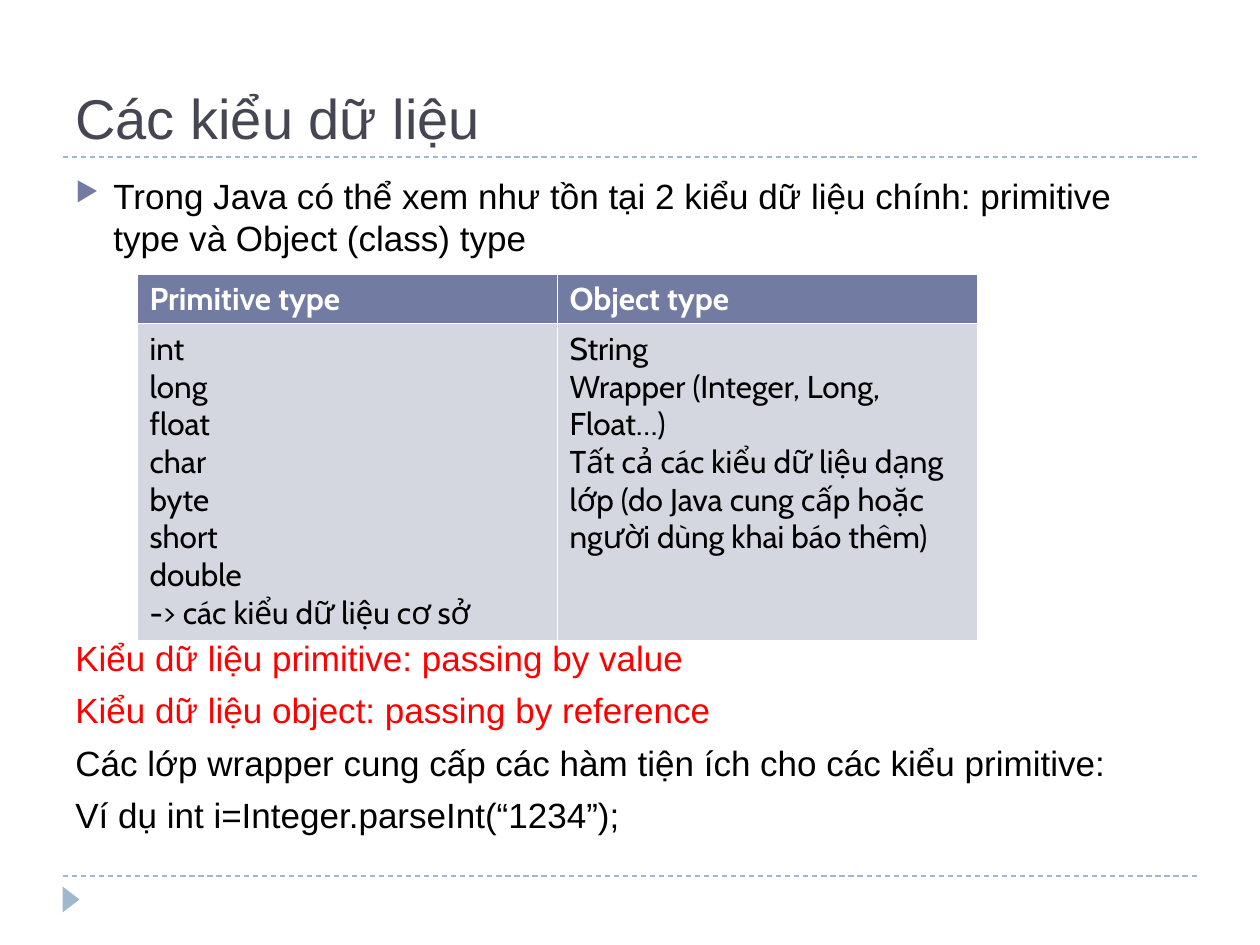
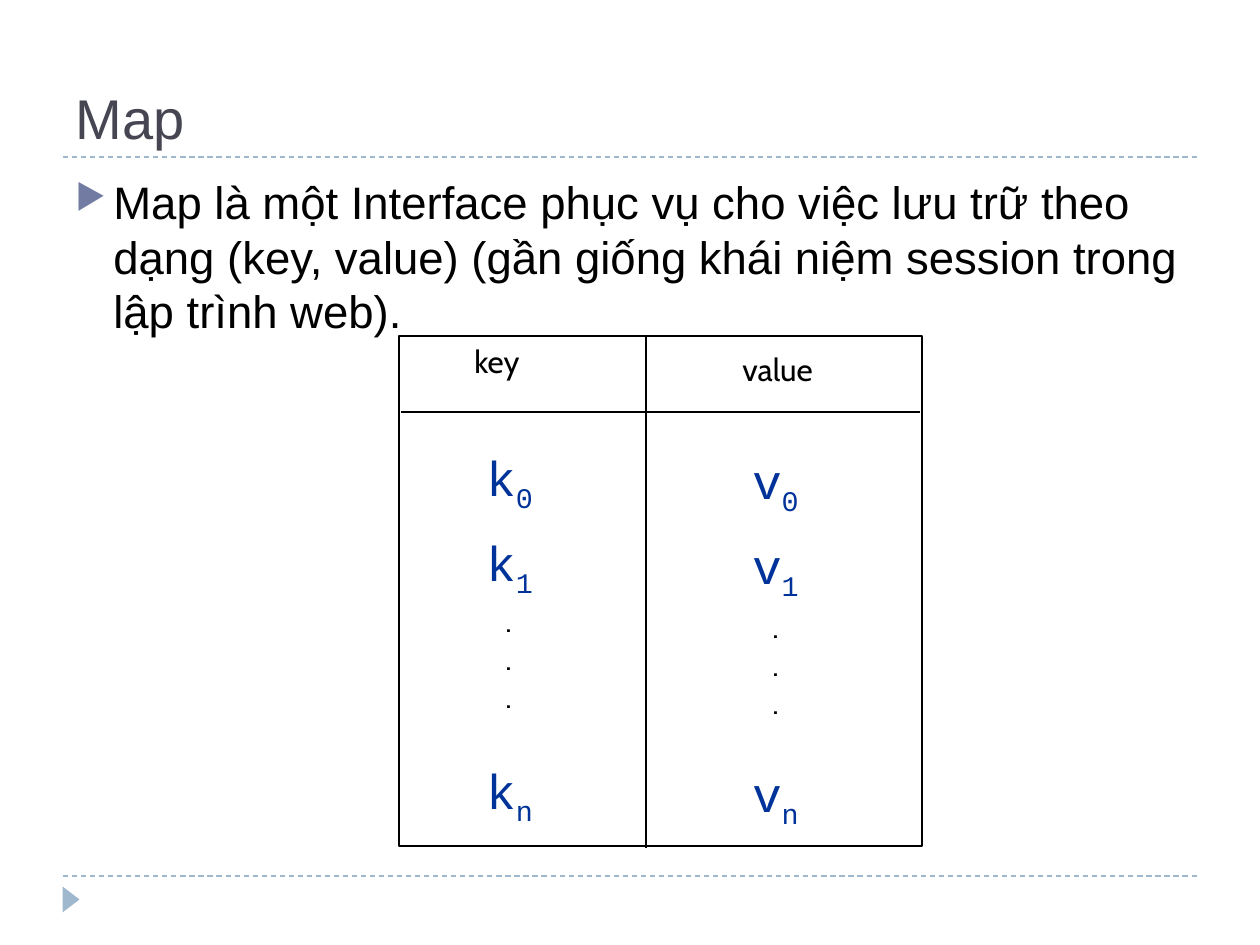
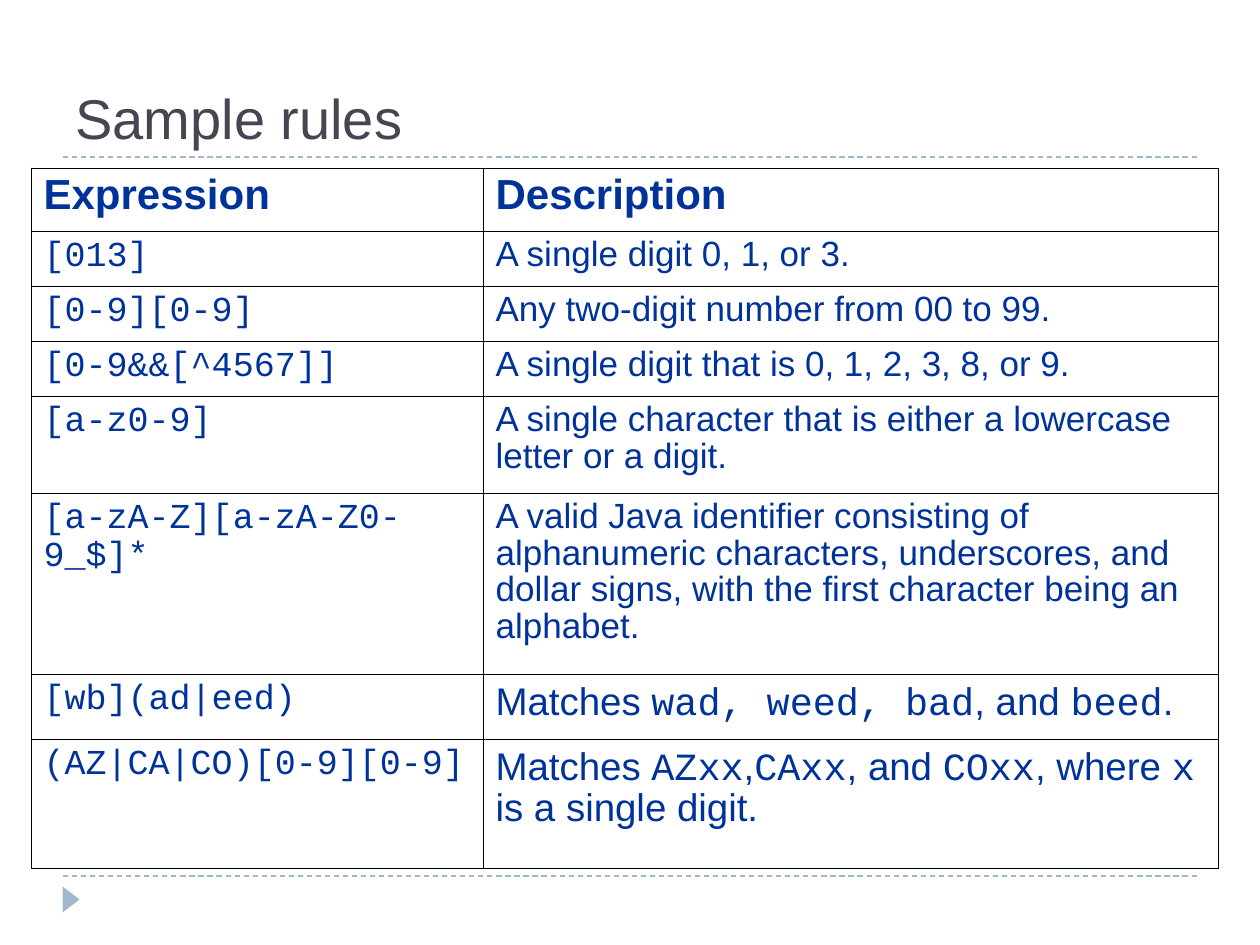
from lxml import etree
from pptx import Presentation
from pptx.dml.color import RGBColor
from pptx.enum.dml import MSO_LINE
from pptx.enum.shapes import MSO_CONNECTOR, MSO_SHAPE
from pptx.enum.text import MSO_ANCHOR, MSO_AUTO_SIZE
from pptx.oxml.ns import qn
from pptx.util import Pt

# Shared scale, colours and text styles
EMU_PER_PX = 914400 / 126
STRAIGHT = MSO_CONNECTOR.STRAIGHT
RECTANGLE = MSO_SHAPE.RECTANGLE
TRIANGLE = MSO_SHAPE.ISOSCELES_TRIANGLE
DASH = MSO_LINE.DASH
TOP, BOTTOM = MSO_ANCHOR.TOP, MSO_ANCHOR.BOTTOM
FIT_SHAPE = MSO_AUTO_SIZE.SHAPE_TO_FIT_TEXT

COLORS = {
    "title": "464653", "accent": "727CA3", "rule": "9FB8CD", "pale": "D5D7E0",
    "black": "000000", "white": "FFFFFF", "red": "FF0000", "blue": "003399",
}


def text_style(name, size, color, bold=False):
    return {"name": name, "size": Pt(size), "bold": bold, "color": color}


STYLES = {
    "title": text_style("Arial", 32, "title"),
    "body": text_style("Arial", 20, "black"),
    "warning": text_style("Arial", 20, "red"),
    "large body": text_style("Arial", 26, "black"),
    "type header": text_style("Cabin", 18, "white", True),
    "label": text_style("Cabin", 18, "black"),
    "symbol": text_style("Courier New", 28, "blue"),
    "rule header": text_style("Arial", 24, "blue", True),
    "expression": text_style("Courier New", 20, "blue"),
    "description": text_style("Arial", 20, "blue"),
    "match": text_style("Arial", 22, "blue"),
    "match code": text_style("Courier New", 22, "blue"),
}

TYPE_ROWS = [
    [["Primitive type"], ["Object type"]],
    [["int", "long", "float", "char", "byte", "short", "double",
      "-> các kiểu dữ liệu cơ sở"],
     ["String", "Wrapper (Integer, Long, Float…)",
      "Tất cả các kiểu dữ liệu dạng lớp (do Java cung cấp hoặc người dùng khai báo thêm)"]],
]

# A list of pieces alternates between prose and code
RULES = [
    ("Expression", "Description", 63),
    ("[013]", "A single digit 0, 1, or 3.", 55),
    ("[0-9][0-9]", "Any two-digit number from 00 to 99.", 55),
    ("[0-9&&[^4567]]", "A single digit that is 0, 1, 2, 3, 8, or 9.", 55),
    ("[a-z0-9]", "A single character that is either a lowercase letter or a digit.", 97),
    ("[a-zA-Z][a-zA-Z0-9_$]*",
     "A valid Java identifier consisting of alphanumeric characters, underscores, "
     "and dollar signs, with the first character being an alphabet.", 181),
    ("[wb](ad|eed)", ["Matches ", "wad, weed, bad", ", and ", "beed", "."], 65),
    ("(AZ|CA|CO)[0-9][0-9]",
     ["Matches ", "AZxx", ",", "CAxx", ", and ", "COxx", ", where ", "x",
      " is a single digit."], 130),
]


def px(*lengths):
    return [round(length * EMU_PER_PX) for length in lengths]


def rgb(color):
    return RGBColor.from_string(COLORS[color])


# Text
def add_run(paragraph, text, style, baseline=None):
    run = paragraph.add_run()
    run.text = text
    for attribute, value in STYLES[style].items():
        if attribute == "color":
            run.font.color.rgb = rgb(value)
        else:
            setattr(run.font, attribute, value)
    if baseline is not None:
        run._r.get_or_add_rPr().set("baseline", str(baseline))


def write(frame, paragraphs, **layout):
    """Each paragraph is a list of add_run arguments."""
    for index, runs in enumerate(paragraphs):
        paragraph = frame.add_paragraph() if index else frame.paragraphs[0]
        for attribute, value in layout.items():
            setattr(paragraph, attribute, value)
        for run in runs:
            add_run(paragraph, *run)


def add_text(shapes, box, paragraphs, wrap=True, anchor=TOP, **layout):
    frame = shapes.add_textbox(*px(*box)).text_frame
    frame.word_wrap = wrap
    frame.vertical_anchor = anchor
    if not wrap:
        frame.auto_size = FIT_SHAPE
    write(frame, paragraphs, **layout)
    return frame


def add_bullet_text(slide, height, text, style):
    frame = add_text(slide.shapes, (63, 168, 1134, height), [[(text, style)]],
                     space_before=Pt(6))
    properties = frame.paragraphs[0]._p.get_or_add_pPr()
    indent = px(38)[0]
    properties.set("marL", str(indent))
    properties.set("indent", str(-indent))
    color = etree.SubElement(properties, qn("a:buClr"))
    etree.SubElement(color, qn("a:srgbClr"), val=COLORS["accent"])
    etree.SubElement(properties, qn("a:buSzPct"), val="76000")
    etree.SubElement(properties, qn("a:buChar"), char="▶")


# Lines and the slide frame
def add_line(shapes, start, end, color, dash=None):
    line = shapes.add_connector(STRAIGHT, *px(*start, *end))
    line.line.color.rgb = rgb(color)
    line.line.width = Pt(0.75)
    line.line.dash_style = dash
    etree.SubElement(line._element.spPr, qn("a:effectLst"))


def add_titled_slide(presentation, title):
    slide = presentation.slides.add_slide(presentation.slide_layouts[6])
    for y in (876, 157):
        add_line(slide.shapes, (63, y), (1197, y), "rule", DASH)
    marker = slide.shapes.add_shape(TRIANGLE, *px(58, 891, 26, 17))
    marker.rotation = 90
    marker.shadow.inherit = False
    marker.fill.solid()
    marker.fill.fore_color.rgb = rgb("rule")
    marker.line.fill.background()
    add_text(slide.shapes, (63, 21, 1134, 136), [[(title, "title")]], anchor=BOTTOM)
    return slide


# Tables
def add_plain_table(slide, left, top, widths, heights):
    table = slide.shapes.add_table(
        len(heights), len(widths), *px(left, top, sum(widths), sum(heights))).table
    table.first_row = table.horz_banding = False
    for column, width in zip(table.columns, px(*widths)):
        column.width = width
    for row, height in zip(table.rows, px(*heights)):
        row.height = height
    return table


def set_borders(cell, color, **widths):
    properties = cell._tc.get_or_add_tcPr()
    for side in "LRTB":
        line = etree.SubElement(properties, qn(f"a:ln{side}"),
                                w=str(Pt(widths.get(side, 0.23))))
        fill = etree.SubElement(line, qn("a:solidFill"))
        etree.SubElement(fill, qn("a:srgbClr"), val=COLORS[color])


def add_type_table(slide):
    table = add_plain_table(slide, 137, 274, (420, 420), (50, 316))
    looks = [("type header", "accent", "B"), ("label", "pale", "T")]
    for row, (style, fill, thick_side) in enumerate(looks):
        for column, lines in enumerate(TYPE_ROWS[row]):
            cell = table.cell(row, column)
            set_borders(cell, "white", **{thick_side: 0.75})
            cell.fill.solid()
            cell.fill.fore_color.rgb = rgb(fill)
            write(cell.text_frame, [[(line, style)] for line in lines], line_spacing=0.98)


def add_rule_table(slide):
    table = add_plain_table(slide, 31, 168, (452, 735), [rule[2] for rule in RULES])
    last = len(RULES) - 1
    for row, (expression, description, _) in enumerate(RULES):
        for column, content in enumerate((expression, description)):
            cell = table.cell(row, column)
            outer = {"L" if column == 0 else "R": 0.5}
            if row in (0, last):
                outer["T" if row == 0 else "B"] = 0.5
            set_borders(cell, "black", **outer)
            cell.fill.background()
            spacing, before = 0.94, 5
            if isinstance(content, list):
                before = 5.5
                runs = [(piece, "match code" if index % 2 else "match")
                        for index, piece in enumerate(content)]
            elif row == 0:
                before = 6
                runs = [(content, "rule header")]
            elif column == 0:
                spacing = 0.96
                runs = [(content, "expression")]
            else:
                runs = [(content, "description")]
            write(cell.text_frame, [runs], line_spacing=spacing, space_before=Pt(before))


# Key and value diagram
def add_map_column(shapes, letter, header, header_box, left, top):
    add_text(shapes, header_box, [[(header, "label")]], wrap=False)
    for index, offset in (("0", 0), ("1", 85), ("n", 313)):
        add_text(shapes, (left, top + offset, 72, 79),
                 [[(letter, "symbol"), (index, "symbol", -25000)]], wrap=False)


def add_map_diagram(slide):
    shapes = slide.shapes.add_group_shape().shapes
    outline = shapes.add_shape(RECTANGLE, *px(399, 336, 523, 510))
    outline.shadow.inherit = False
    outline.fill.background()
    outline.line.color.rgb = rgb("black")
    outline.line.width = Pt(0.75)
    add_line(shapes, (401, 412), (920, 412), "black")
    add_line(shapes, (646, 336), (646, 848), "black")
    add_map_column(shapes, "k", "key", (462, 336, 76, 50), 474, 441)
    add_map_column(shapes, "v", "value", (730, 344, 103, 50), 740, 444)
    for left, top in ((493, 595), (760, 601)):
        add_text(shapes, (left, top, 33, 126), [[(".", "label")]] * 3, wrap=False)


def main():
    presentation = Presentation()
    presentation.slide_width, presentation.slide_height = px(1260, 945)

    # Data types
    slide = add_titled_slide(presentation, "Các kiểu dữ liệu")
    add_bullet_text(slide, 106, "Trong Java có thể xem như tồn tại 2 kiểu dữ liệu chính: "
                    "primitive type và Object (class) type", "body")
    add_type_table(slide)
    add_text(slide.shapes, (63, 630, 1134, 218), [
        [("Kiểu dữ liệu primitive: passing by value", "warning")],
        [("Kiểu dữ liệu object: passing by reference", "warning")],
        [("Các lớp wrapper cung cấp các hàm tiện ích cho các kiểu primitive:", "body")],
        [("Ví dụ int i=Integer.parseInt(“1234”);", "body")],
    ], space_before=Pt(6))

    # Map
    slide = add_titled_slide(presentation, "Map")
    add_bullet_text(slide, 210, "Map là một Interface phục vụ cho việc lưu trữ theo dạng "
                    "(key, value) (gần giống khái niệm session trong lập trình web).",
                    "large body")
    add_map_diagram(slide)

    # Regular expressions
    slide = add_titled_slide(presentation, "Sample rules")
    add_rule_table(slide)

    presentation.save("out.pptx")


if __name__ == "__main__":
    main()
